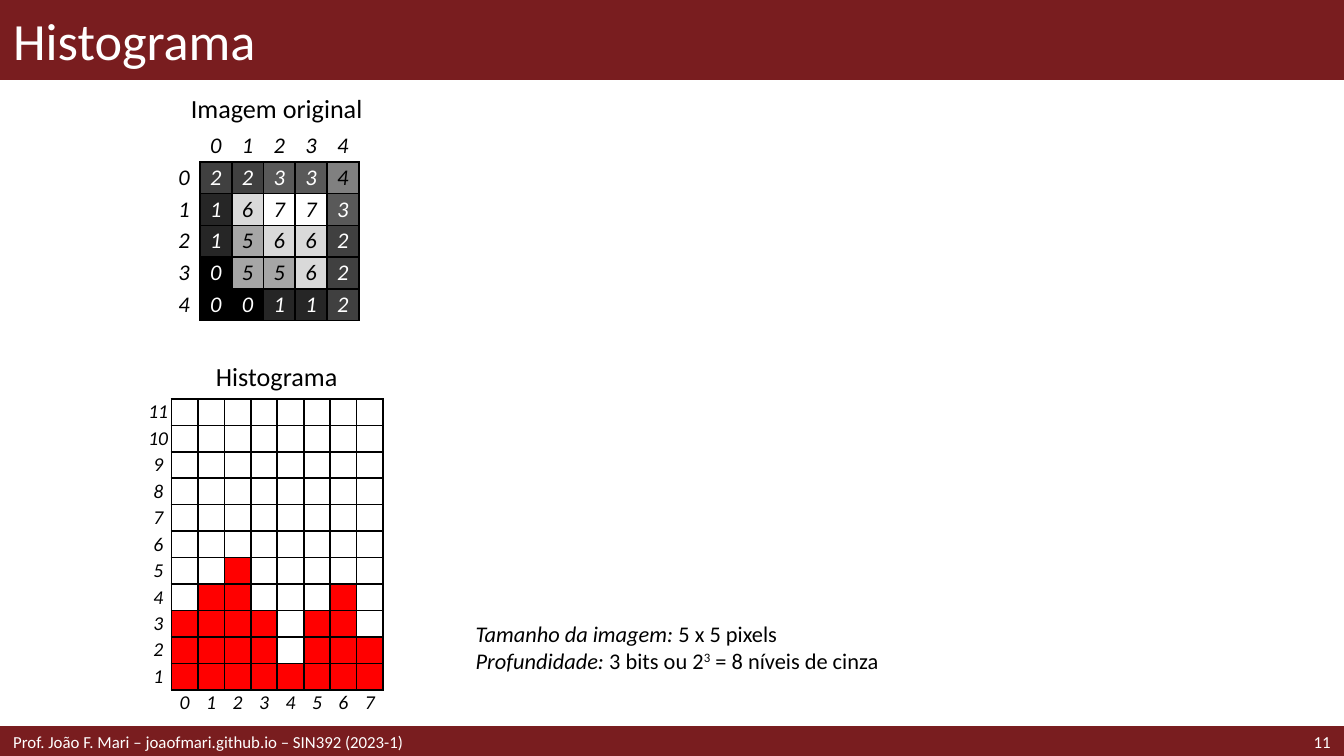
from collections import Counter
from lxml import etree
from pptx import Presentation
from pptx.dml.color import RGBColor
from pptx.enum import shapes, text
from pptx.oxml import ns
from pptx.util import Cm, Pt

WINE = RGBColor(0x79, 0x1D, 0x1F)
WHITE = RGBColor(0xFF, 0xFF, 0xFF)
BLACK = RGBColor(0, 0, 0)
RED = RGBColor(0xFF, 0, 0)
GRAYS = [RGBColor(v, v, v) for v in (0, 0x26, 0x40, 0x59, 0x80, 0xA6, 0xD9, 0xFF)]
LEFT, MID, RIGHT = text.PP_ALIGN.LEFT, text.PP_ALIGN.CENTER, text.PP_ALIGN.RIGHT
PLAIN = "{2D5ABB26-0587-4C30-8999-92F81FD0307C}"  # table style without lines


def write(para, words, size=12, color=BLACK, italic=False, align=LEFT, base=None):
    para.alignment = align
    run = para.add_run()
    run.text = words
    font = run.font
    font.name, font.size, font.italic = "Calibri", Pt(size), italic
    font.color.rgb = color
    if base:
        font._element.set("baseline", str(base))


def grid(x, y, side, size, rows):
    """Draw rows of (text, fill); a cell without fill is an axis label."""
    high, wide = len(rows), len(rows[0])
    frame = slide.shapes.add_table(high, wide, Cm(x), Cm(y), Cm(side * wide), Cm(side * high))
    table = frame.table
    table.first_row = table.horz_banding = False
    frame._element.find(".//" + ns.qn("a:tableStyleId")).text = PLAIN
    for line in table.rows:
        line.height = Cm(side)
    for col in table.columns:
        col.width = Cm(side)
    for r, row in enumerate(rows):
        for c, (words, fill) in enumerate(row):
            cell = table.cell(r, c)
            cell.margin_left = cell.margin_right = cell.margin_top = cell.margin_bottom = 0
            cell.vertical_anchor = text.MSO_ANCHOR.MIDDLE
            # Lines go around each filled cell
            near = {"L": (r, c - 1), "R": (r, c + 1), "T": (r - 1, c), "B": (r + 1, c)}
            for key, (i, j) in near.items():
                inside = 0 <= i < high and 0 <= j < wide
                if fill is not None or (inside and rows[i][j][1] is not None):
                    line = etree.SubElement(cell._tc.get_or_add_tcPr(), ns.qn("a:ln" + key), w="12700")
                    solid = etree.SubElement(line, ns.qn("a:solidFill"))
                    etree.SubElement(solid, ns.qn("a:srgbClr"), val=str(BLACK))
            if fill is None:
                cell.fill.background()
            else:
                cell.fill.solid()
                cell.fill.fore_color.rgb = fill
            para = cell.text_frame.paragraphs[0]
            if words:
                ink = WHITE if fill in GRAYS[:4] else BLACK
                write(para, words, size=size, color=ink, italic=True, align=MID)
            else:
                etree.SubElement(para._p, ns.qn("a:endParaRPr"), sz=str(int(size * 100)))


deck = Presentation()
deck.slide_width, deck.slide_height = Cm(25.4), Cm(14.29)
slide = deck.slides.add_slide(deck.slide_layouts[6])

# Top and bottom bars
for y, h, w in ((0, 1.5, 1), (13.76, 0.53, 2)):
    bar = slide.shapes.add_shape(shapes.MSO_SHAPE.RECTANGLE, 0, Cm(y), Cm(25.4), Cm(h))
    bar.shadow.inherit = False
    bar.fill.solid()
    bar.fill.fore_color.rgb = bar.line.color.rgb = WINE
    bar.line.width = Pt(w)

# Text boxes: place, inset, then paragraphs of (words, format) runs
light = {"size": 9, "color": WHITE}
head = {"size": 14, "align": MID}
slant = {"italic": True}
boxes = [
    (0, 0, 25.4, 1.5, 0.25, [[("Histograma", {"size": 28, "color": WHITE})]]),
    (22.5, 13.75, 2.9, 0.53, 0.25, [[("11", {**light, "align": RIGHT})]]),
    (0, 13.76, 17.5, 0.53, 0.25,
     [[("Prof. João F. Mari – joaofmari.github.io – SIN392 (2023-1)", light)]]),
    (8.74, 11.53, 8.56, 1.4, 0.25, [
        [("Tamanho da imagem:", slant), (" 5 x 5 pixels", {})],
        [("Profundidade:", slant), (" 3 bits ou 2", {}), ("3", {"base": 30000}),
         (" = 8 níveis de cinza", {})]]),
    (3.23, 1.63, 4, 0.81, 0.1, [[("Imagem original", head)]]),
    (3.23, 6.71, 4, 0.81, 0.1, [[("Histograma", head)]]),
]
for x, y, w, h, inset, paras in boxes:
    body = slide.shapes.add_textbox(Cm(x), Cm(y), Cm(w), Cm(h)).text_frame
    body.word_wrap = True
    body.vertical_anchor = text.MSO_ANCHOR.MIDDLE
    body.margin_left = body.margin_right = Cm(inset)
    body.margin_top = body.margin_bottom = Cm(0.1)
    for n, runs in enumerate(paras):
        para = body.add_paragraph() if n else body.paragraphs[0]
        for words, style in runs:
            write(para, words, **style)

# Image pixels with row and column numbers
pixels = ["22334", "16773", "15662", "05562", "00112"]
rows = [[("", None)] + [(str(c), None) for c in range(5)]]
for r, line in enumerate(pixels):
    rows.append([(str(r), None)] + [(p, GRAYS[int(p)]) for p in line])
grid(3.18, 2.46, 0.6, 12, rows)

# Histogram: one red cell for each pixel of a level
count = Counter("".join(pixels))
rows = []
for n in range(11, 0, -1):
    bars = [("", RED if count[str(v)] >= n else WHITE) for v in range(8)]
    rows.append([(str(n), None)] + bars)
rows.append([("", None)] + [(str(v), None) for v in range(8)])
# White cells hold no text, so only the label ink matters here
grid(2.74, 7.54, 0.5, 10.5, rows)

deck.save("out.pptx")
